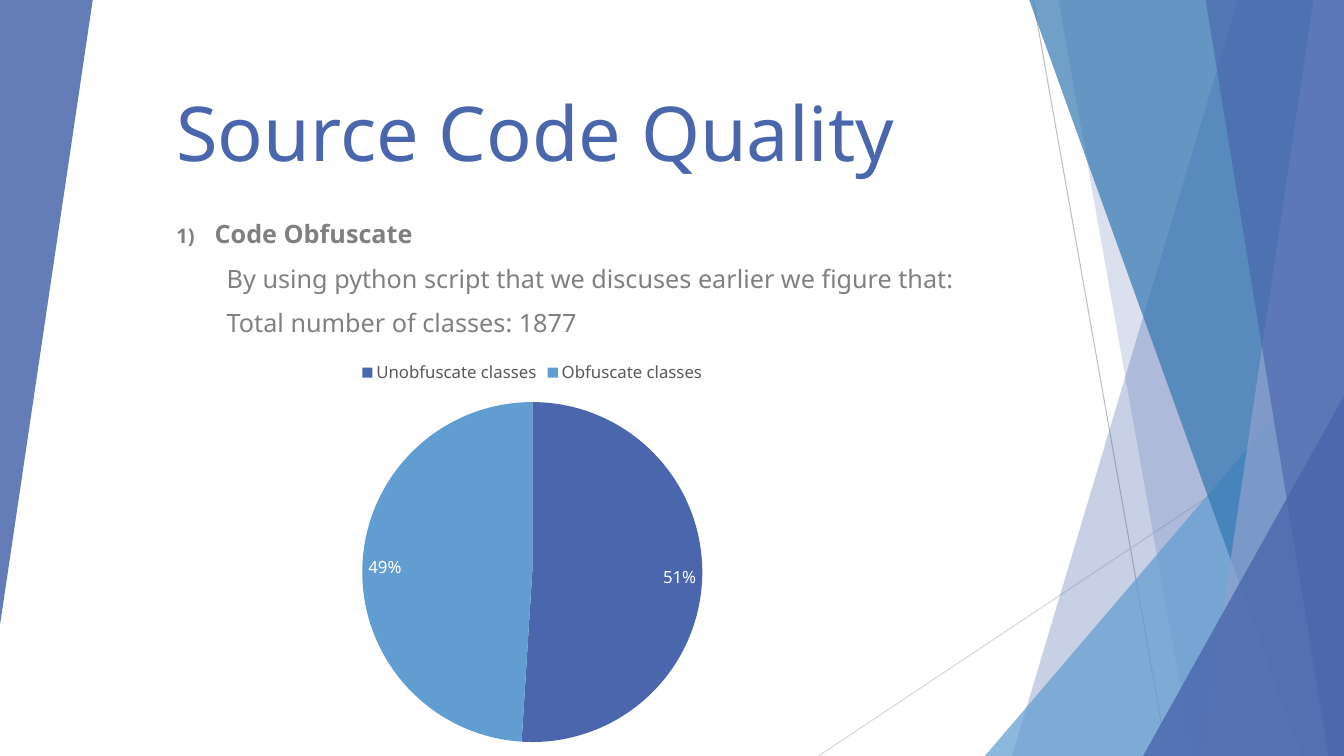
from dataclasses import dataclass

from lxml.etree import SubElement
from pptx import Presentation
from pptx.chart.data import CategoryChartData
from pptx.dml.color import RGBColor
from pptx.enum.chart import XL_CHART_TYPE, XL_LABEL_POSITION, XL_LEGEND_POSITION
from pptx.enum.shapes import MSO_CONNECTOR, MSO_SHAPE
from pptx.enum.text import MSO_ANCHOR, MSO_AUTO_SIZE, PP_ALIGN
from pptx.oxml.ns import qn
from pptx.util import Inches, Pt


@dataclass(frozen=True)
class Theme:
    """Colours, font and type sizes of the slide."""
    font: str = "Noto Sans"
    indigo: str = "4A66AC"
    sky: str = "629DD1"
    ocean: str = "3477B2"
    lavender: str = "90A2CF"
    body: str = "808080"
    legend: str = "595959"
    white: str = "FFFFFF"
    rule_dark: str = "BFBFBF"
    rule_light: str = "D9D9D9"
    title_size: int = 54
    body_size: int = 18
    chart_size: int = 12


class Deck:
    """Draws on one slide, with lengths in percent of its width and height."""

    def __init__(self, prs, theme):
        """Add a title-only slide."""
        self.prs, self.theme = prs, theme
        self.s = prs.slides.add_slide(prs.slide_layouts[5])

    def x(self, share):
        """Convert a percentage of the width."""
        return int(self.prs.slide_width * share / 100)

    def y(self, share):
        """Convert a percentage of the height."""
        return int(self.prs.slide_height * share / 100)

    def box(self, left, top, width, height):
        """Convert a whole frame."""
        return self.x(left), self.y(top), self.x(width), self.y(height)

    def style(self, font, size, color, bold=False):
        """Format a font."""
        font.name, font.size, font.bold = self.theme.font, Pt(size), bold
        font.color.rgb = RGBColor.from_string(color)

    def paint(self, sp, color, alpha):
        """Fill a shape with a translucent colour and no outline."""
        sp.shadow.inherit = False
        sp.line.fill.background()
        sp.fill.solid()
        sp.fill.fore_color.rgb = RGBColor.from_string(color)
        clr = sp.fill._xPr.find(qn("a:solidFill"))[0]
        SubElement(clr, qn("a:alpha"), val=str(alpha * 1000))

    def line(self, x1, y1, x2, y2, color):
        """Draw a thin rule."""
        sp = self.s.shapes.add_connector(
            MSO_CONNECTOR.STRAIGHT, self.x(x1), self.y(y1), self.x(x2), self.y(y2))
        sp.line.width = Pt(0.75)
        sp.line.color.rgb = RGBColor.from_string(color)
        SubElement(sp._element.spPr, qn("a:effectLst"))

    def shard(self, top, bottom, color, alpha):
        """Draw a full-height band from a slanted edge to the right side."""
        fb = self.s.shapes.build_freeform(self.x(top), 0)
        corners = [(100, 0), (100, 100), (bottom, 100)]
        fb.add_line_segments([(self.x(x), self.y(y)) for x, y in corners])
        self.paint(fb.convert_to_shape(), color, alpha)

    def triangle(self, frame, color, alpha, rotation=0):
        """Draw a right-angled triangle."""
        sp = self.s.shapes.add_shape(MSO_SHAPE.ISOSCELES_TRIANGLE, *self.box(*frame))
        sp.adjustments[0] = 1
        sp.rotation = rotation
        self.paint(sp, color, alpha)

    def title(self, text, frame):
        """Place and format the title."""
        sp = self.s.shapes.title
        sp.left, sp.top, sp.width, sp.height = self.box(*frame)
        tf = sp.text_frame
        tf.text = text
        tf.auto_size, tf.vertical_anchor = MSO_AUTO_SIZE.NONE, MSO_ANCHOR.BOTTOM
        p = tf.paragraphs[0]
        p.alignment = PP_ALIGN.LEFT
        self.style(p.runs[0].font, self.theme.title_size, self.theme.indigo)

    def numbered_point(self, heading, details, frame):
        """Write a numbered bold heading with indented lines below."""
        tf = self.s.shapes.add_textbox(*self.box(*frame)).text_frame
        tf.word_wrap = True
        tf.text = "\n".join([heading, *details])
        for i, p in enumerate(tf.paragraphs):
            p.space_before = Pt(10)
            self.style(p.runs[0].font, self.theme.body_size, self.theme.body, i == 0)
            p._p.get_or_add_pPr().set("marL", str(Inches(0.5 if i else 0.38)))
        pPr = tf.paragraphs[0]._p.pPr
        pPr.set("indent", str(Inches(-0.38)))
        SubElement(pPr, qn("a:buSzPct"), val="80000")
        SubElement(pPr, qn("a:buFont"), typeface="+mj-lt")
        SubElement(pPr, qn("a:buAutoNum"), type="arabicParenR")

    def pie(self, shares, colors, frame):
        """Add a pie chart with percentages and a legend on top."""
        data = CategoryChartData()
        data.categories = list(shares)
        data.add_series("Series 1", list(shares.values()))
        chart = self.s.shapes.add_chart(
            XL_CHART_TYPE.PIE, *self.box(*frame), data).chart
        size = self.theme.chart_size
        self.style(chart.font, size, self.theme.legend)
        chart.has_title = False
        chart.has_legend = True
        chart.legend.position = XL_LEGEND_POSITION.TOP
        chart.legend.include_in_layout = False
        self.style(chart.legend.font, size, self.theme.legend)
        plot = chart.plots[0]
        for i, color in enumerate(colors):
            fill = plot.series[0].points[i].format.fill
            fill.solid()
            fill.fore_color.rgb = RGBColor.from_string(color)
        plot.has_data_labels = True
        labels = plot.data_labels
        labels.show_percentage, labels.show_value = True, False
        labels.number_format, labels.number_format_is_linked = "0%", False
        labels.position = XL_LABEL_POSITION.INSIDE_END
        self.style(labels.font, size, self.theme.white)


def main():
    """Build the slide."""
    prs = Presentation()
    prs.slide_width, prs.slide_height = Inches(13.33), Inches(7.5)
    t = Theme()
    deck = Deck(prs, t)
    left = 12.38

    deck.line(76.88, 0, 86.85, 100, t.rule_dark)
    deck.line(100, 53.73, 60.9, 100, t.rule_light)
    deck.shard(92.1, 75.3, t.indigo, 30)
    deck.shard(78.75, 88.73, t.indigo, 20)
    deck.triangle((73.28, 44.4, 26.72, 55.6), t.sky, 72)
    deck.shard(76.58, 96.83, t.ocean, 70)
    deck.shard(97.73, 89.4, t.lavender, 70)
    deck.shard(89.7, 98.85, t.indigo, 65)
    deck.triangle((85.05, 52.4, 14.95, 47.6), t.indigo, 80)
    deck.triangle((0, 0, 6.9, 82.67), t.indigo, 85, rotation=180)

    deck.title("Source Code Quality", (left, 0, 63.68, 24))
    deck.numbered_point(
        "Code Obfuscate",
        ["By using python script that we discuses earlier we figure that:",
         "Total number of classes: 1877"],
        (left, 28.27, 72.9, 21.73))
    deck.pie({"Unobfuscate classes": 51, "Obfuscate classes": 49},
             [t.indigo, t.sky], (left, 46.27, 54.45, 53.73))
    prs.save("out.pptx")


main()
